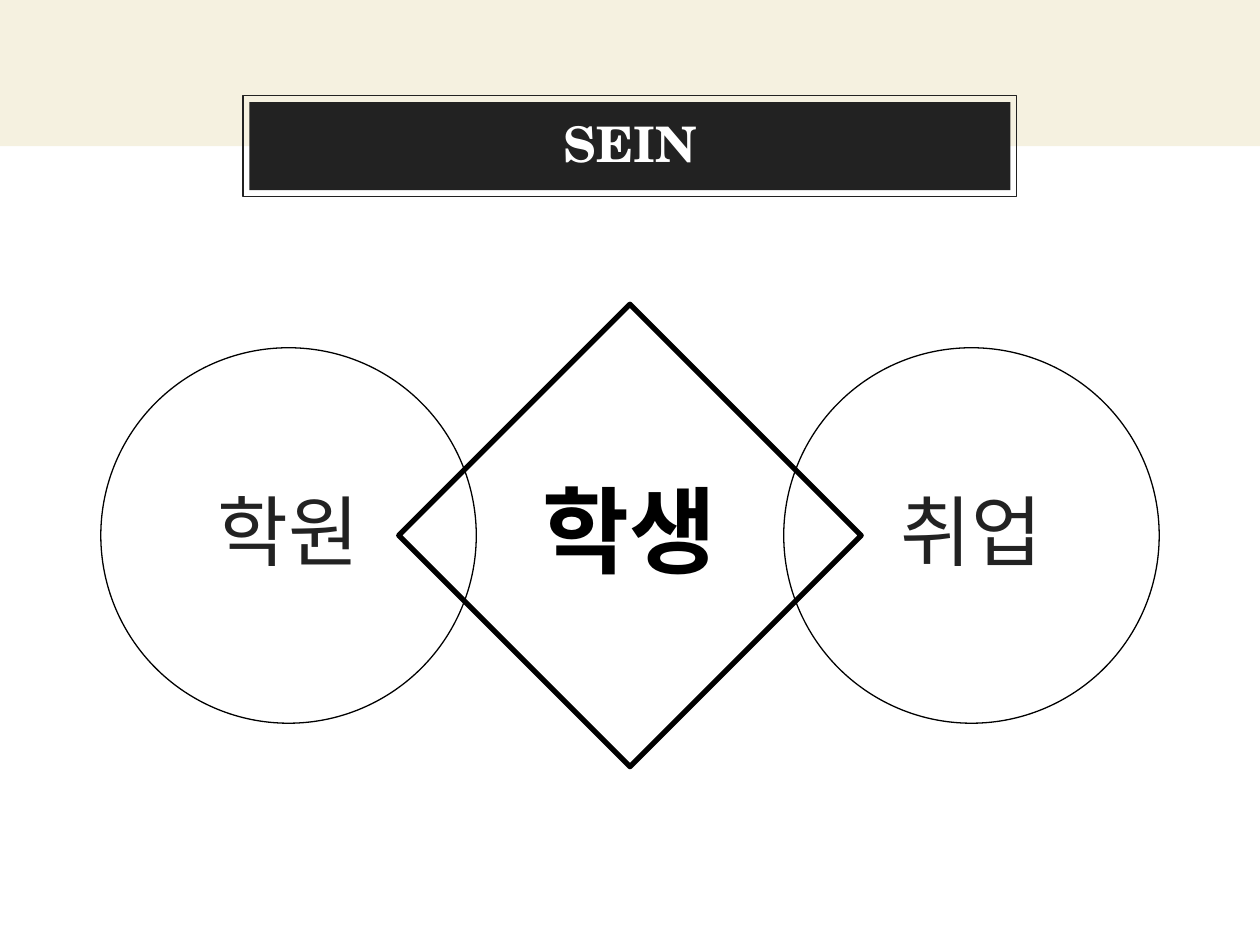
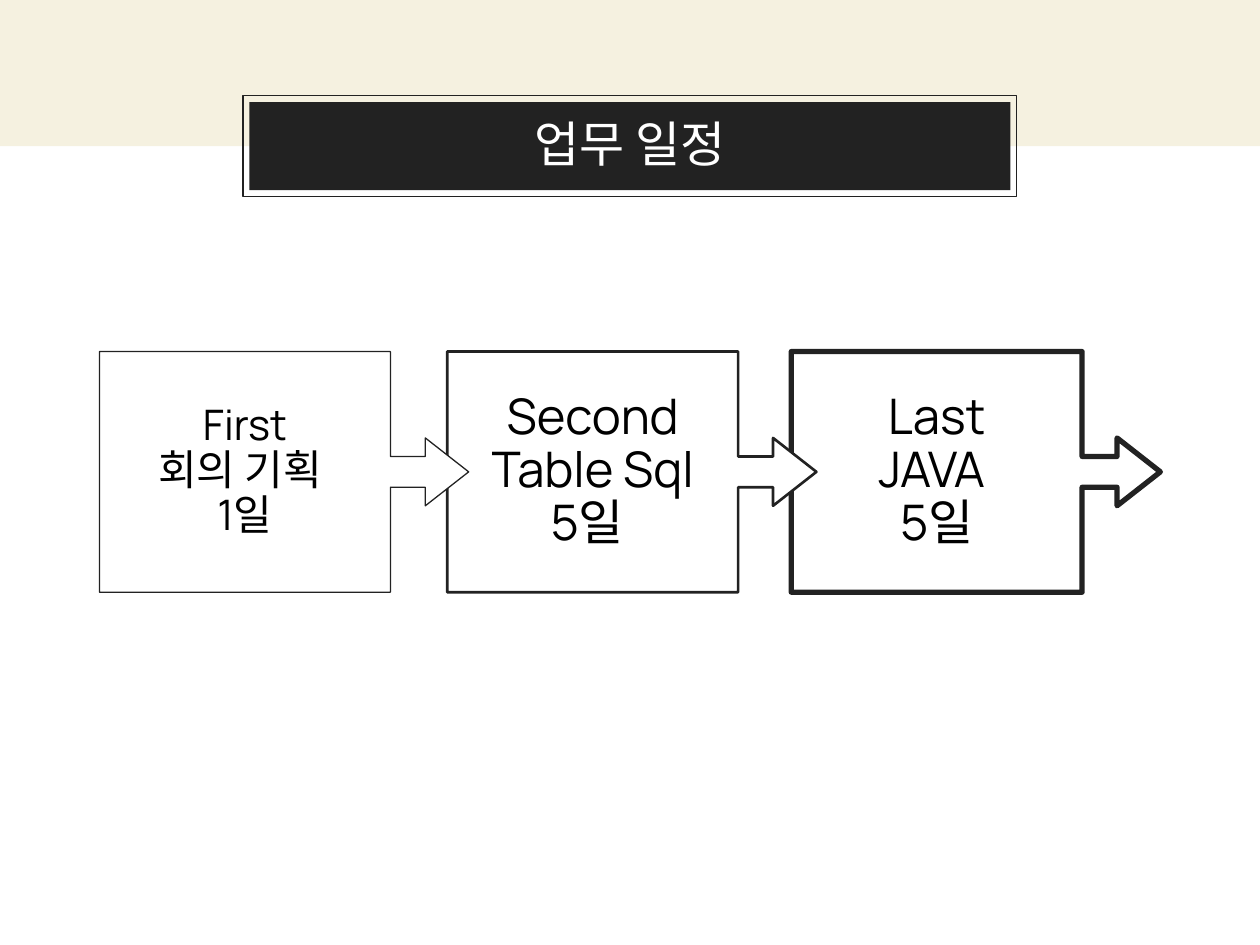
from pptx import Presentation
from pptx.dml.color import RGBColor
from pptx.enum.shapes import MSO_SHAPE
from pptx.enum.text import MSO_ANCHOR, MSO_AUTO_SIZE, PP_ALIGN
from pptx.util import Inches, Pt

HUES = {"cream": "F5F1E0", "dark": "222222", "black": "000000", "white": "FFFFFF"}
HEAD = "TeX Gyre Schola"
BODY = "Manrope"


def hue(name):
    return RGBColor.from_string(HUES[name])


def write(shape, text, size, color, font=BODY, bold=False, space=0.9):
    frame = shape.text_frame
    frame.text = text
    frame.word_wrap = True
    frame.auto_size = MSO_AUTO_SIZE.NONE
    frame.vertical_anchor = MSO_ANCHOR.MIDDLE
    frame.margin_left = frame.margin_right = Inches(0.1)
    frame.margin_top = frame.margin_bottom = Inches(0.1)
    for para in frame.paragraphs:
        para.alignment = PP_ALIGN.CENTER
        para.line_spacing = space
        for run in para.runs:
            run.font.name = font
            run.font.size = Pt(size)
            run.font.bold = bold
            run.font.color.rgb = hue(color)


def draw(slide, kind, box, fill=None, line=None, width=0.75):
    shape = slide.shapes.add_shape(kind, *map(Inches, box))
    shape.shadow.inherit = False
    if fill:
        shape.fill.solid()
        shape.fill.fore_color.rgb = hue(fill)
    else:
        shape.fill.background()
    if line:
        shape.line.color.rgb = hue(line)
        shape.line.width = Pt(width)
    else:
        shape.line.fill.background()
    return shape


def header(slide, box, text, bold=False):
    left, top, width, height = box
    gap = 0.05
    draw(slide, MSO_SHAPE.RECTANGLE, (0, 0, 10, 1.16), fill="cream")
    draw(slide, MSO_SHAPE.RECTANGLE, box, line="dark")
    title = slide.shapes.title
    title.left, title.top = Inches(left + gap), Inches(top + gap)
    title.width, title.height = Inches(width - 2 * gap), Inches(height - 2 * gap)
    title.fill.solid()
    title.fill.fore_color.rgb = hue("dark")
    write(title, text, 28, "white", HEAD, bold)
    slide.shapes.element.append(title.element)


def rings(slide, box, sides, center):
    left, top, width, size = box
    for x, text in zip((left, left + width - size), sides):
        ring = draw(slide, MSO_SHAPE.OVAL, (x, top, size, size), line="black")
        write(ring, text, 44, "dark")
    span = 3.67
    spot = (left + (width - span) / 2, top + (size - span) / 2, span, span)
    gem = draw(slide, MSO_SHAPE.DIAMOND, spot, line="black", width=3)
    write(gem, center, 54, "black", bold=True)


def steps(slide, box, items):
    left, top, width, height = box
    for shift, line, size, text in reversed(items):
        spot = (left + shift, top, width, height)
        step = draw(slide, MSO_SHAPE.RIGHT_ARROW_CALLOUT, spot, "white", "dark", line)
        for index, value in enumerate((0.128, 0.141, 0.18, 0.788)):
            step.adjustments[index] = value
        write(step, text, size, "black")


def start(deck, text, bold=False):
    slide = deck.slides.add_slide(deck.slide_layouts[5])
    header(slide, (1.93, 0.76, 6.14, 0.8), text, bold)
    return slide


def main():
    deck = Presentation()
    deck.slide_width, deck.slide_height = Inches(10), Inches(7.5)

    slide = start(deck, "SEIN", True)
    rings(slide, (0.8, 2.76, 8.4, 2.98), ("학원", "취업"), "학생")

    slide = start(deck, "업무 일정")
    steps(slide, (0.79, 2.79, 2.93, 1.91), [
        (0, 0.75, 24, "First\n회의 기획 \n1일"),
        (2.76, 1.5, 28, "Second\nTable Sql\n5일 "),
        (5.49, 3, 28, "Last\nJAVA \n5일"),
    ])
    deck.save("out.pptx")


if __name__ == "__main__":
    main()
